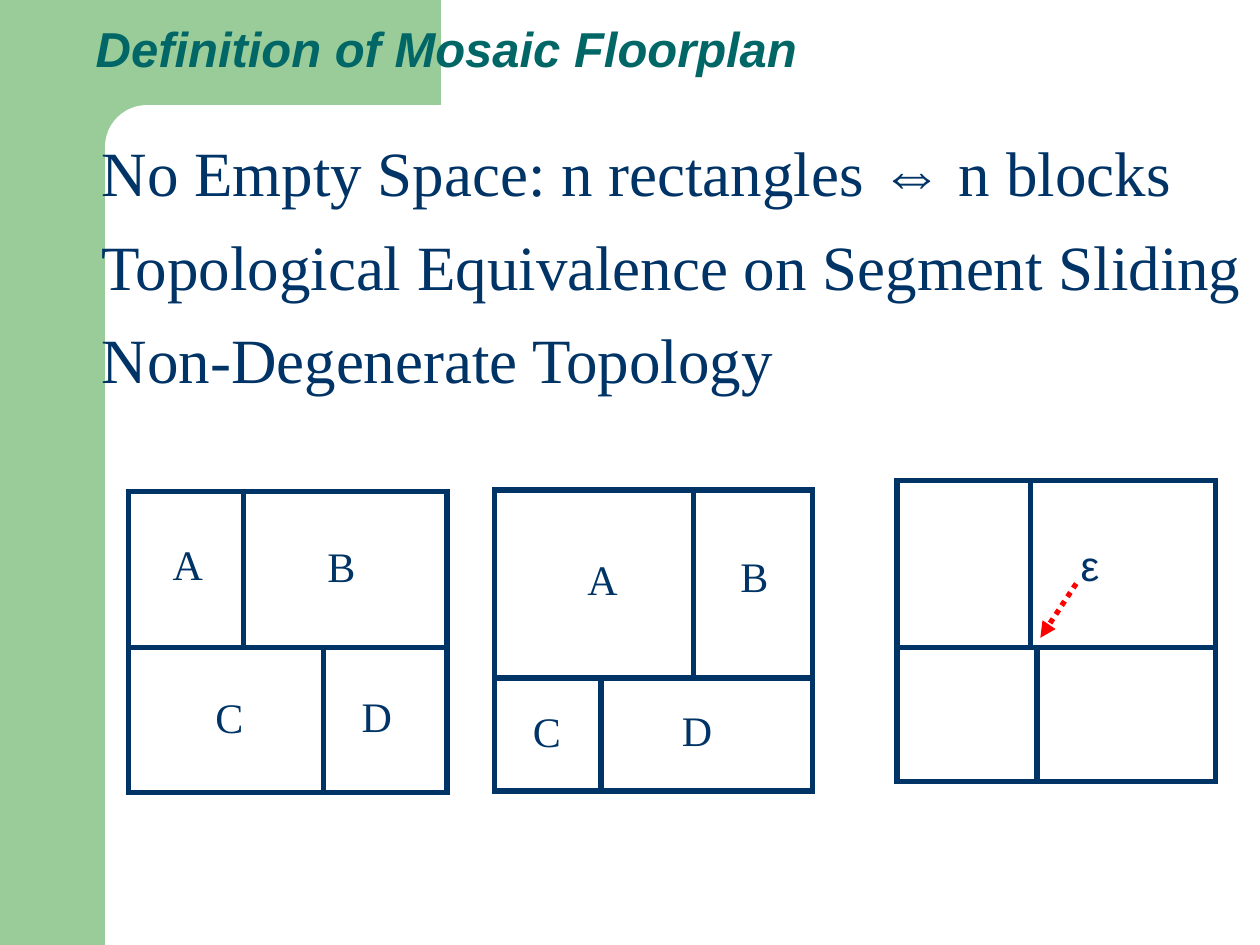
from dataclasses import dataclass

import pptx
import pptx.dml.color
import pptx.enum.dml
import pptx.enum.shapes
import pptx.enum.text
import pptx.oxml
import pptx.oxml.ns
import pptx.util
from pptx.util import Pt

GREEN = "99CC99"
TEAL = "006666"
NAVY = "003366"
WHITE = "FFFFFF"
RED = "FF0000"
SERIF = "Times New Roman"
SANS = "Arial"
PLAN_WIDTH = 182
PLAN_HEIGHT = 172
LINE_WIDTH = 3
LABEL_HEIGHT = 36


@dataclass
class Band:
    shape: int
    left: float
    top: float
    width: float
    height: float
    color: str


@dataclass
class Label:
    text: str
    left: float
    top: float
    width: float
    font: str = SERIF


@dataclass
class Floorplan:
    left: float
    top: float
    wall: float
    upper_divider: float
    lower_divider: float
    labels: list[Label]


SHAPES = pptx.enum.shapes.MSO_SHAPE
BANDS = [
    Band(SHAPES.RECTANGLE, 0, 0, 60, 540, GREEN),
    Band(SHAPES.RECTANGLE, 54, 0, 198, 84, GREEN),
    Band(SHAPES.ROUNDED_RECTANGLE, 60, 60, 402, 48, WHITE),
]
FLOORPLANS = [
    Floorplan(73.5, 281, 370, 139, 185, [
        Label("A", 91.5, 304, 31.5),
        Label("B", 180, 305.5, 30),
        Label("C", 116, 391.5, 30),
        Label("D", 199.5, 391, 31.5),
    ]),
    Floorplan(282.5, 280, 387.5, 396.5, 343.5, [
        Label("A", 328.5, 313, 31.5),
        Label("B", 416, 311, 30),
        Label("C", 297.5, 399.5, 30),
        Label("D", 382.5, 399, 31.5),
    ]),
    Floorplan(512.5, 274.5, 370, 589, 592.5, [
        Label("ε", 610.5, 304.5, 24.5, SANS),
    ]),
]
STATEMENTS = [
    [("No Empty Space: n rectangles ", SERIF), ("⇔", SANS), (" n blocks", SERIF)],
    [("Topological Equivalence on Segment Sliding", SERIF)],
    [("Non-Degenerate Topology", SERIF)],
]


def rgb(color: str) -> pptx.dml.color.RGBColor:
    return pptx.dml.color.RGBColor.from_string(color)


def format_font(font, name: str, size: float, color: str) -> None:
    font.name = name
    font.size = Pt(size)
    font.color.rgb = rgb(color)


def draw_band(page, band: Band) -> None:
    shape = page.shapes.add_shape(
        band.shape, Pt(band.left), Pt(band.top), Pt(band.width), Pt(band.height))
    shape.shadow.inherit = False
    shape.fill.solid()
    shape.fill.fore_color.rgb = rgb(band.color)
    shape.line.fill.background()
    if band.shape == SHAPES.ROUNDED_RECTANGLE:
        shape.adjustments[0] = 0.5


def draw_line(page, x1: float, y1: float, x2: float, y2: float, color: str = NAVY):
    line = page.shapes.add_connector(
        pptx.enum.shapes.MSO_CONNECTOR.STRAIGHT, Pt(x1), Pt(y1), Pt(x2), Pt(y2))
    line.line.width = Pt(LINE_WIDTH)
    line.line.color.rgb = rgb(color)
    properties = line.line._get_or_add_ln().getparent()
    properties.append(pptx.oxml.parse_xml(
        f'<a:effectLst {pptx.oxml.ns.nsdecls("a")}/>'))
    return line


def draw_arrow(page, x1: float, y1: float, x2: float, y2: float) -> None:
    arrow = draw_line(page, x1, y1, x2, y2, RED)
    arrow.line.dash_style = pptx.enum.dml.MSO_LINE.ROUND_DOT
    arrow.line._get_or_add_ln().append(pptx.oxml.parse_xml(
        f'<a:tailEnd {pptx.oxml.ns.nsdecls("a")} type="triangle"/>'))


def draw_label(page, label: Label) -> None:
    box = page.shapes.add_textbox(
        Pt(label.left), Pt(label.top), Pt(label.width), Pt(LABEL_HEIGHT))
    frame = box.text_frame
    frame.word_wrap = False
    frame.auto_size = pptx.enum.text.MSO_AUTO_SIZE.SHAPE_TO_FIT_TEXT
    frame.text = label.text
    format_font(frame.paragraphs[0].runs[0].font, label.font, 24, NAVY)


def draw_floorplan(page, plan: Floorplan) -> None:
    right = plan.left + PLAN_WIDTH
    bottom = plan.top + PLAN_HEIGHT
    outline = page.shapes.add_shape(
        SHAPES.RECTANGLE, Pt(plan.left), Pt(plan.top), Pt(PLAN_WIDTH), Pt(PLAN_HEIGHT))
    outline.shadow.inherit = False
    outline.fill.background()
    outline.line.color.rgb = rgb(NAVY)
    outline.line.width = Pt(LINE_WIDTH)
    outline.line._get_or_add_ln().append(pptx.oxml.parse_xml(
        f'<a:miter {pptx.oxml.ns.nsdecls("a")} lim="800000"/>'))
    draw_line(page, plan.left, plan.wall, right, plan.wall)
    draw_line(page, plan.upper_divider, plan.top, plan.upper_divider, plan.wall)
    draw_line(page, plan.lower_divider, plan.wall, plan.lower_divider, bottom)
    for label in plan.labels:
        draw_label(page, label)


def write_title(page) -> None:
    title = page.shapes.title
    page.shapes._spTree.append(title._element)
    title.left, title.top, title.width, title.height = Pt(47.5), Pt(0), Pt(630), Pt(48)
    frame = title.text_frame
    frame.text = "Definition of Mosaic Floorplan"
    frame.auto_size = pptx.enum.text.MSO_AUTO_SIZE.NONE
    frame.vertical_anchor = pptx.enum.text.MSO_ANCHOR.BOTTOM
    para = frame.paragraphs[0]
    para.alignment = pptx.enum.text.PP_ALIGN.LEFT
    para.line_spacing = 0.9
    span = para.runs[0]
    format_font(span.font, SANS, 28, TEAL)
    span.font.bold = True
    span.font.italic = True


def write_statements(page) -> None:
    box = page.shapes.add_textbox(Pt(51), Pt(73), Pt(669), Pt(173))
    frame = box.text_frame
    frame.word_wrap = True
    for index, pieces in enumerate(STATEMENTS):
        para = frame.add_paragraph() if index else frame.paragraphs[0]
        if index:
            para.space_before = Pt(10)
        for text, font in pieces:
            span = para.add_run()
            span.text = text
            format_font(span.font, font, 36, NAVY)


def main() -> None:
    deck = pptx.Presentation()
    deck.slide_width, deck.slide_height = Pt(720), Pt(540)
    page = deck.slides.add_slide(deck.slide_layouts[5])
    for band in BANDS:
        draw_band(page, band)
    write_title(page)
    write_statements(page)
    for plan in FLOORPLANS:
        draw_floorplan(page, plan)
    draw_arrow(page, 615, 333.5, 594.5, 364.5)
    deck.save("out.pptx")


if __name__ == "__main__":
    main()
